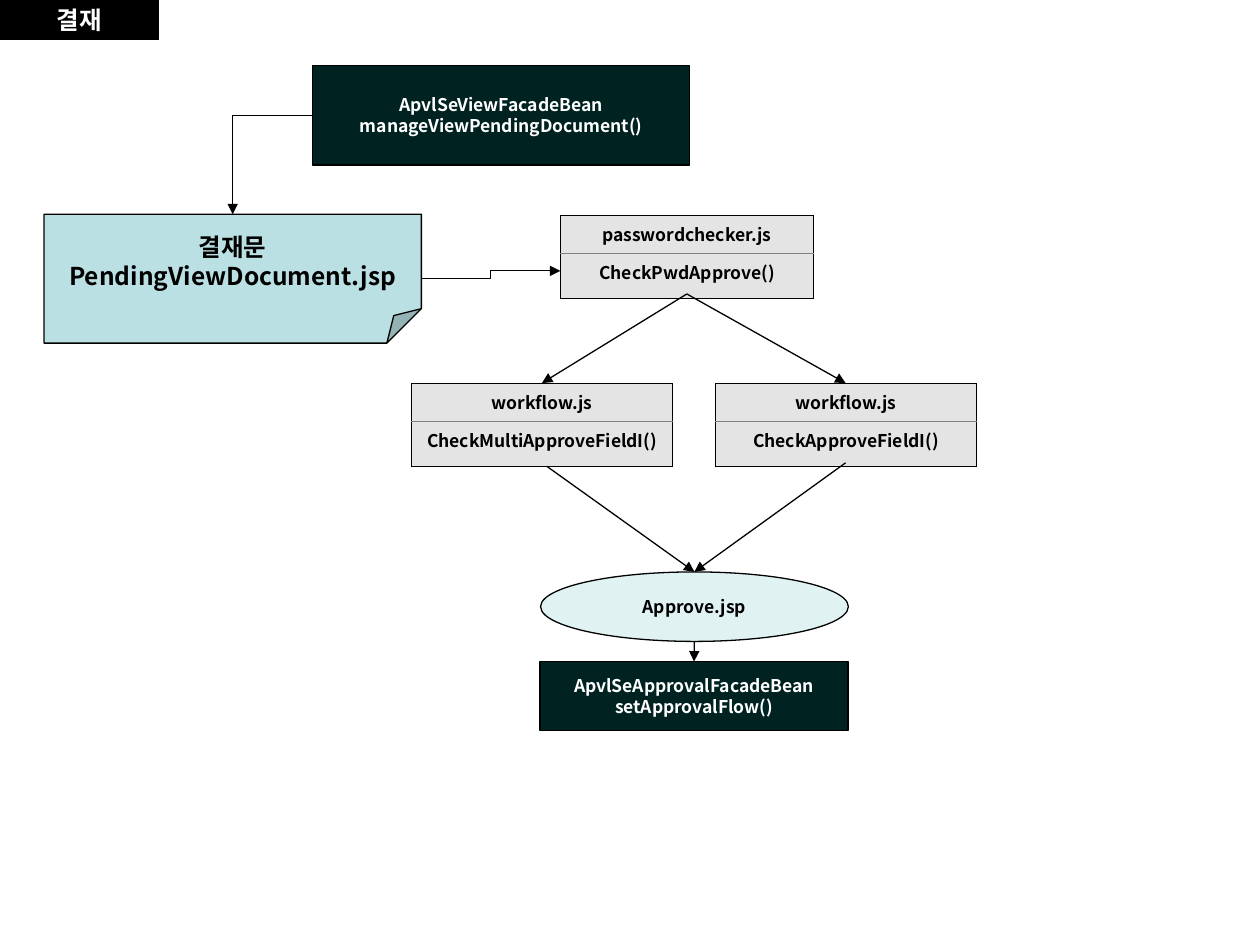
from lxml import etree
from pptx import Presentation
from pptx.dml.color import RGBColor
from pptx.enum import shapes, text
from pptx.oxml import ns
from pptx.util import Pt

BLACK = RGBColor(0x00, 0x00, 0x00)
WHITE = RGBColor(0xFF, 0xFF, 0xFF)
DARK_GREEN = RGBColor(0x00, 0x23, 0x22)
TEAL = RGBColor(0xBB, 0xE0, 0xE3)
PALE_TEAL = RGBColor(0xE1, 0xF2, 0xF3)
LIGHT_GRAY = RGBColor(0xE4, 0xE4, 0xE4)
GRAY = RGBColor(0x80, 0x80, 0x80)
FONT = "Noto Sans CJK KR"
LINE_WIDTH = 0.75
BORDER_WIDTH = 0.11
ROW_HEIGHTS = (19.5, 25.9)

KIND = shapes.MSO_SHAPE
BOXES = {
    "document": (KIND.FOLDED_CORNER, (25.2, 122.4, 215.6, 73.7), TEAL, BLACK, 14, False,
                 ["결재문", "PendingViewDocument.jsp"]),
    "title": (KIND.RECTANGLE, (0, 0, 90.7, 22.5), BLACK, WHITE, 14, True, ["결재"]),
    "approval bean": (KIND.FLOWCHART_PROCESS, (308.6, 378, 175.9, 39.4), DARK_GREEN, WHITE, 10, False,
                      ["ApvlSeApprovalFacadeBean", "setApprovalFlow()"]),
    "approve page": (KIND.OVAL, (308.9, 326.8, 175.9, 39.7), PALE_TEAL, BLACK, 10, True,
                     ["Approve.jsp"]),
    "view bean": (KIND.FLOWCHART_PROCESS, (178.6, 37.5, 215.4, 56.8), DARK_GREEN, WHITE, 10, True,
                  ["ApvlSeViewFacadeBean", "manageViewPendingDocument()"]),
}
TABLES = [
    (320.2, 122.7, 144.7, ["passwordchecker.js", "CheckPwdApprove()"]),
    (408.8, 218.9, 149.2, ["workflow.js", "CheckApproveFieldI()"]),
    (235.1, 218.9, 149.2, ["workflow.js", "CheckMultiApproveFieldI()"]),
]
CHECKER, MULTI, SINGLE, APPROVE = (392.5, 168), (309.7, 218.9), (483.2, 218.9), (396.8, 326.8)
STRAIGHT_ARROWS = [
    ((396.8, 366.5), (396.6, 378)),
    ((312.5, 266.5), APPROVE),
    ((483.2, 264.5), APPROVE),
    (CHECKER, MULTI),
    (CHECKER, SINGLE),
]


def write_lines(frame, lines, size, color, space_before=0):
    for index, line in enumerate(lines):
        paragraph = frame.paragraphs[0] if index == 0 else frame.add_paragraph()
        paragraph.alignment = text.PP_ALIGN.CENTER
        paragraph.space_before = Pt(space_before)
        run = paragraph.add_run()
        run.text = line
        run.font.name = FONT
        run.font.size = Pt(size)
        run.font.bold = True
        run.font.color.rgb = color
        east_asian = etree.SubElement(run.font._element, ns.qn("a:ea"))
        east_asian.set("typeface", FONT)


def add_box(slide, kind, place, fill, color, size, wrap, lines):
    shape = slide.shapes.add_shape(kind, *map(Pt, place))
    shape.shadow.inherit = False
    shape.fill.solid()
    shape.fill.fore_color.rgb = fill
    shape.line.color.rgb = BLACK
    shape.line.width = Pt(LINE_WIDTH)
    if kind == KIND.FOLDED_CORNER:
        guides = next(shape._element.iter(ns.qn("a:avLst")))
        etree.SubElement(guides, ns.qn("a:gd"), name="adj", fmla="val 26700")
    frame = shape.text_frame
    frame.word_wrap = wrap
    frame.vertical_anchor = text.MSO_ANCHOR.MIDDLE
    write_lines(frame, lines, size, color)
    return shape


def set_borders(cell, **colors):
    properties = cell._tc.get_or_add_tcPr()
    for index, (side, color) in enumerate(colors.items()):
        border = etree.Element(ns.qn("a:ln" + side), w=str(Pt(BORDER_WIDTH)))
        fill = etree.SubElement(border, ns.qn("a:solidFill"))
        etree.SubElement(fill, ns.qn("a:srgbClr"), val=str(color))
        properties.insert(index, border)


def add_function_table(slide, left, top, width, labels):
    table = slide.shapes.add_table(
        len(labels), 1, Pt(left), Pt(top), Pt(width), Pt(sum(ROW_HEIGHTS))).table
    table.first_row = table.horz_banding = False
    for index, label in enumerate(labels):
        table.rows[index].height = Pt(ROW_HEIGHTS[index])
        cell = table.cell(index, 0)
        cell.margin_left = cell.margin_right = Pt(7.2)
        cell.margin_top = cell.margin_bottom = Pt(3.6)
        cell.fill.solid()
        cell.fill.fore_color.rgb = LIGHT_GRAY
        write_lines(cell.text_frame, [label], 10, BLACK, 2.5 * index)
        top_color, bottom_color = ((BLACK, GRAY), (GRAY, BLACK))[index]
        set_borders(cell, L=BLACK, R=BLACK, T=top_color, B=bottom_color)


def add_arrow(slide, start, end, kind=shapes.MSO_CONNECTOR.STRAIGHT):
    connector = slide.shapes.add_connector(kind, *map(Pt, start + end))
    connector.line.color.rgb = BLACK
    connector.line.width = Pt(LINE_WIDTH)
    etree.SubElement(connector.line._get_or_add_ln(), ns.qn("a:tailEnd"), type="triangle")
    etree.SubElement(connector._element.spPr, ns.qn("a:effectLst"))
    return connector


def main():
    presentation = Presentation()
    presentation.slide_width, presentation.slide_height = Pt(720), Pt(540)
    slide = presentation.slides.add_slide(presentation.slide_layouts[6])
    boxes = {name: add_box(slide, *box) for name, box in BOXES.items()}
    for table in TABLES:
        add_function_table(slide, *table)
    for start, end in STRAIGHT_ARROWS:
        add_arrow(slide, start, end)

    elbow = shapes.MSO_CONNECTOR.ELBOW
    to_document = add_arrow(slide, (178.6, 65.9), (133, 122.4), elbow)
    to_document._element.spPr.find(ns.qn("a:prstGeom")).set("prst", "bentConnector2")
    to_document.begin_connect(boxes["view bean"], 1)
    to_document.end_connect(boxes["document"], 0)
    to_checker = add_arrow(slide, (240.8, 159.3), (320.2, 154.8), elbow)
    to_checker.begin_connect(boxes["document"], 3)
    presentation.save("out.pptx")


if __name__ == "__main__":
    main()
